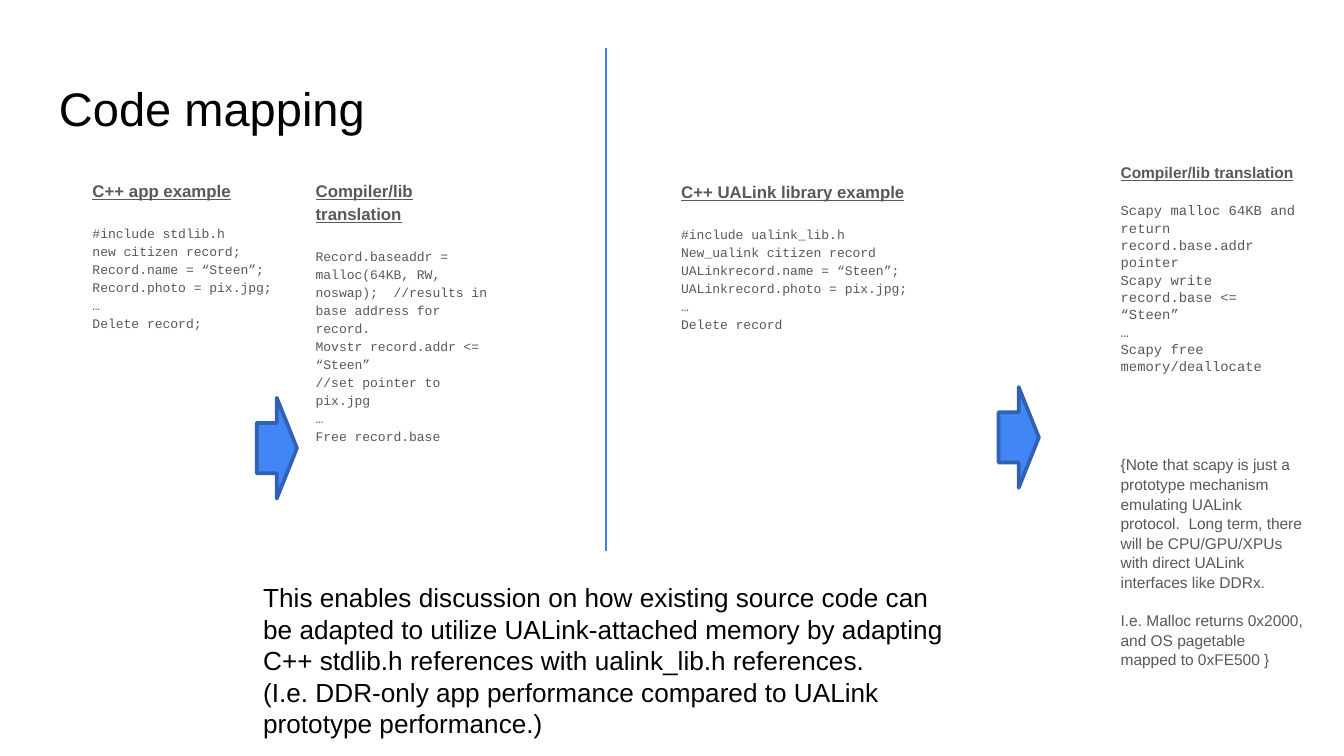
from pptx import Presentation
from pptx.dml.color import RGBColor
from pptx.enum.shapes import MSO_CONNECTOR as Connector, MSO_SHAPE as Shape
from pptx.enum.text import MSO_ANCHOR as Anchor
from pptx.oxml.ns import qn
from pptx.util import Inches, Pt
from lxml.etree import SubElement

COLORS = {"black": "000000", "grey": "595959", "blue": "4285F4",
          "outline": "3061B2", "divider": "3B7FF2"}
SANS, MONO = "Arial", "Courier New"

APP_CODE = ["#include stdlib.h", "new citizen record;", "Record.name = “Steen”;",
            "Record.photo = pix.jpg;", "…", "Delete record;"]
APP_TRANSLATION = [
    "Record.baseaddr = malloc(64KB, RW, noswap);  //results in base address for record.",
    "Movstr record.addr <= “Steen”", "//set pointer to pix.jpg", "…", "Free record.base"]
LIBRARY_CODE = ["#include ualink_lib.h", "New_ualink citizen record",
                "UALinkrecord.name = “Steen”;", "UALinkrecord.photo = pix.jpg;",
                "…", "Delete record"]
LIBRARY_TRANSLATION = ["Scapy malloc 64KB and return record.base.addr pointer",
                       "Scapy write record.base <= “Steen”", "…",
                       "Scapy free memory/deallocate"]
NOTES = [
    "{Note that scapy is just a prototype mechanism emulating UALink protocol.  "
    "Long term, there will be CPU/GPU/XPUs with direct UALink interfaces like DDRx.",
    "I.e. Malloc returns 0x2000, and OS pagetable mapped to 0xFE500 }"]
SUMMARY = [
    "This enables discussion on how existing source code can be adapted to utilize "
    "UALink-attached memory by adapting C++ stdlib.h references with ualink_lib.h references.",
    "(I.e. DDR-only app performance compared to UALink prototype performance.)"]


def rgb(name):
    return RGBColor.from_string(COLORS[name])


def add_frame(page, left, top, width, height, margin=0.1):
    box = page.shapes.add_textbox(Inches(left), Inches(top), Inches(width), Inches(height))
    frame = box.text_frame
    frame.word_wrap = True
    frame.margin_top = frame.margin_bottom = Inches(margin)
    return frame


def add_para(frame, text, size, color="black", font=SANS):
    """Fill the frame's first paragraph, or append one if it is taken."""
    para = frame.paragraphs[0]
    if para.runs:
        para = frame.add_paragraph()
    para.text = text
    para.font.size = Pt(size)
    para.font.name = font
    para.font.color.rgb = rgb(color)
    return para


def add_code_column(page, left, top, width, heading, code, notes=(),
                    heading_size=9, code_size=7, spacing=1.15):
    frame = add_frame(page, left, top, width, 3.74)
    gap = heading_size * 1.17 * spacing  # height of one empty line
    title = add_para(frame, heading, heading_size, "grey")
    title.font.bold = title.font.underline = True
    title.space_after = Pt(gap)
    for line in code:
        add_para(frame, line, code_size, "grey", MONO)
    for index, note in enumerate(notes):
        para = add_para(frame, note, heading_size, "grey")
        para.space_before = Pt(gap if index else 4.2 * gap)
    for para in frame.paragraphs:
        para.line_spacing = spacing
        para._p.get_or_add_pPr().set("marL", str(Inches(0.13)))


def add_arrow(page, left, top):
    arrow = page.shapes.add_shape(Shape.RIGHT_ARROW, Inches(left), Inches(top),
                                  Inches(0.3), Inches(0.75))
    arrow.shadow.inherit = False
    arrow.fill.solid()
    arrow.fill.fore_color.rgb = rgb("blue")
    arrow.line.color.rgb = rgb("outline")
    arrow.line.width = Pt(2)


def add_divider(page, x, top, bottom):
    divider = page.shapes.add_connector(Connector.STRAIGHT, Inches(x), Inches(top),
                                        Inches(x), Inches(bottom))
    divider.line.color.rgb = rgb("divider")
    divider.line.width = Pt(0.75)
    SubElement(divider._element.spPr, qn("a:effectLst"))


def main():
    deck = Presentation()
    deck.slide_width = Inches(10)
    deck.slide_height = deck.slide_width * 9 // 16
    page = deck.slides.add_slide(deck.slide_layouts[6])

    title = add_frame(page, 0.34, 0.49, 9.32, 0.63)
    title.vertical_anchor = Anchor.MIDDLE
    add_para(title, "Code mapping", 25.2)

    add_code_column(page, 4.84, 1.23, 2.5, "C++ UALink library example", LIBRARY_CODE)
    add_code_column(page, 0.46, 1.22, 1.69, "C++ app example", APP_CODE)
    add_code_column(page, 2.12, 1.22, 1.69, "Compiler/lib translation", APP_TRANSLATION)
    add_code_column(page, 8.11, 1.11, 1.69, "Compiler/lib translation",
                    LIBRARY_TRANSLATION, NOTES,
                    heading_size=8.3, code_size=7.4, spacing=1.05)

    add_arrow(page, 1.91, 2.96)
    add_arrow(page, 7.43, 2.88)

    summary = add_frame(page, 1.86, 4.28, 5.41, 1.28, margin=0.05)
    for text in SUMMARY:
        add_para(summary, text, 14)

    add_divider(page, 4.51, 0.36, 4.1)
    deck.save("out.pptx")


if __name__ == "__main__":
    main()
